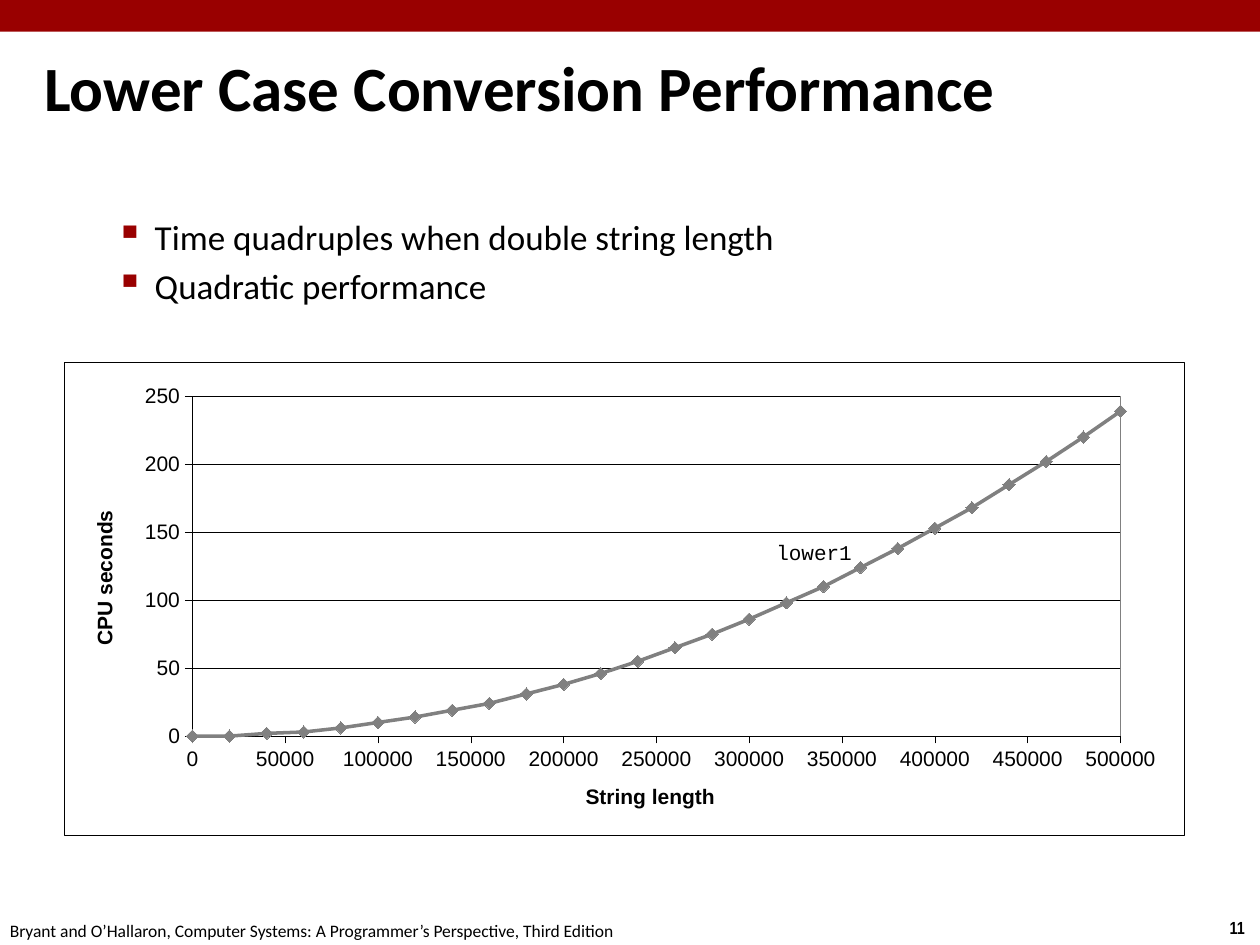
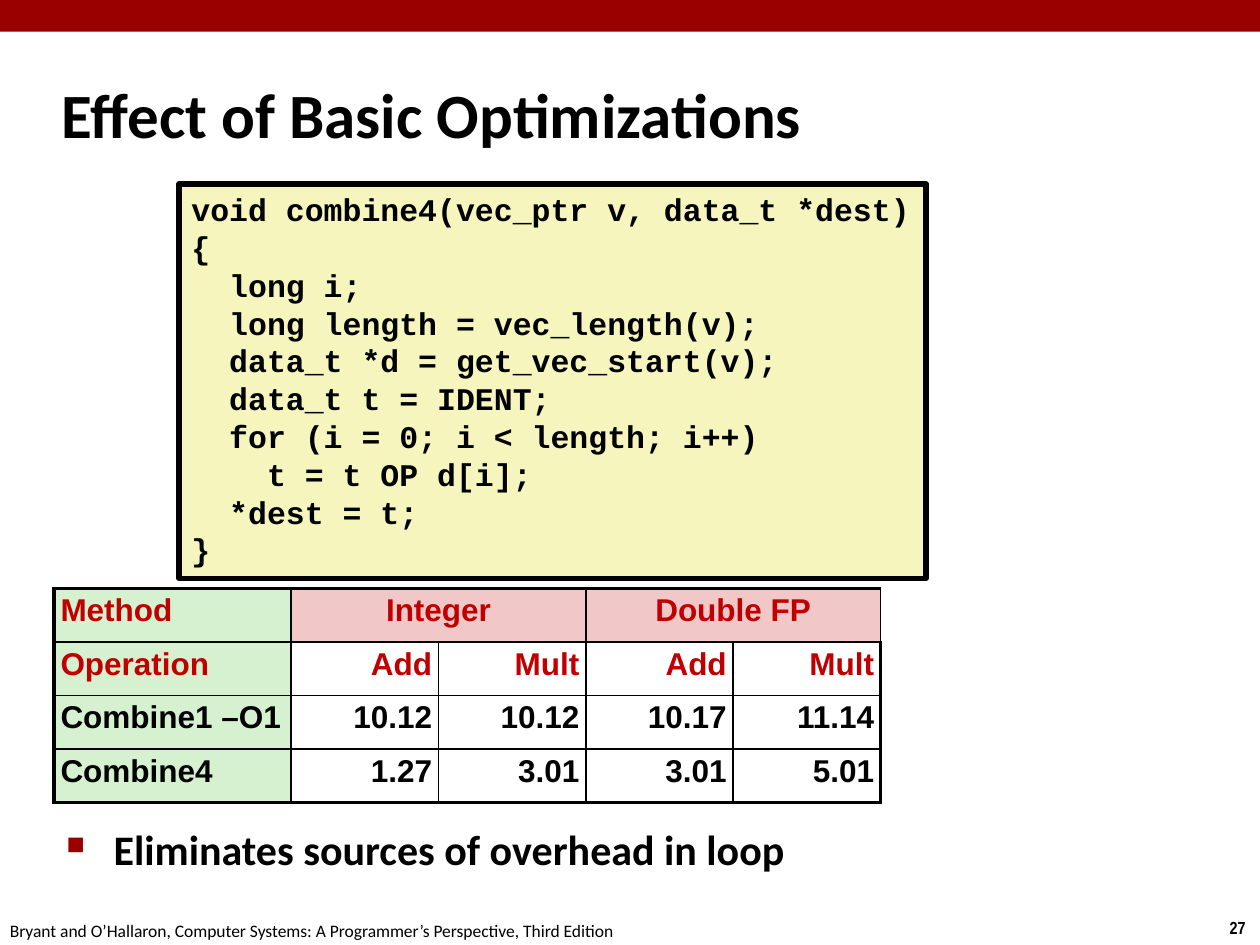
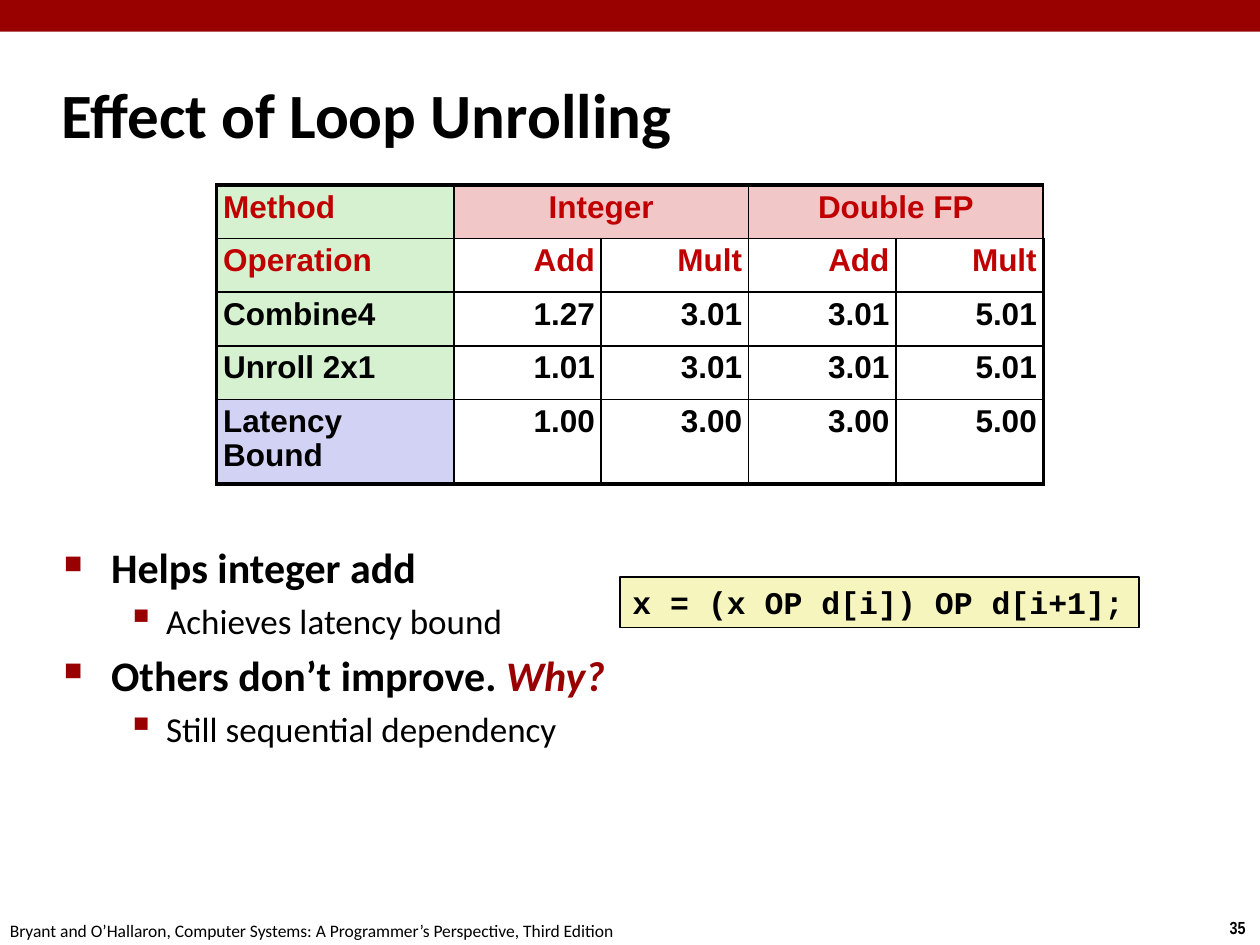
from dataclasses import dataclass, replace

from lxml import etree
from pptx import Presentation
from pptx import util as u
from pptx.chart.data import XyChartData
from pptx.dml.color import RGBColor
from pptx.enum import chart as charts, shapes, text
from pptx.oxml import ns, parse_xml

# Shared look
COLORS = {
    "red": "990000", "heading": "C00000", "black": "000000", "white": "FFFFFF",
    "code": "F6F5BD", "green": "D5F1CF", "pink": "F1C7C7", "violet": "D2D2F4",
    "gray": "808080",
}
FOOTER = "Bryant and O’Hallaron, Computer Systems: A Programmer’s Perspective, Third Edition"
TITLE_ONLY = 5


@dataclass(frozen=True)
class Frame:
    """Position and size in centimetres."""
    left: float
    top: float
    width: float
    height: float

    def lengths(self) -> tuple:
        return u.Cm(self.left), u.Cm(self.top), u.Cm(self.width), u.Cm(self.height)


@dataclass(frozen=True)
class Style:
    size: float
    font: str = "Calibri"
    bold: bool = False
    italic: bool = False
    color: str = "black"


@dataclass(frozen=True)
class BulletKind:
    level: int
    mark: str
    mark_percent: int
    margin: float
    hanging: float
    style: Style


@dataclass(frozen=True)
class Bullet:
    kind: BulletKind
    words: str
    emphasis: str = ""


@dataclass(frozen=True)
class Row:
    label: str
    values: tuple
    fill: str = "green"


TITLE = Style(36, bold=True)
CODE = Style(18, "Courier New", bold=True)
CELL = Style(18, "Arial", bold=True)
HEADING = replace(CELL, color="heading")
AXIS = Style(12, "Arial")
MAIN = BulletKind(0, "■", 60, 0.95, 0.95, Style(24, bold=True))
SUB = BulletKind(1, "▪", 110, 2.06, 0.79, Style(20))

BAND_FRAME = Frame(0, 0, 25.4, 0.64)
NUMBER_FRAME = Frame(24.54, 18.36, 0.86, 0.69)
FOOTER_FRAME = Frame(-0.05, 18.42, 12.9, 0.69)
TITLE_FRAME = Frame(0.99, 1.22, 21.08, 2.11)


def rgb(name: str) -> RGBColor:
    return RGBColor.from_string(COLORS[name])


def apply_font(font, style: Style) -> None:
    font.size, font.name = u.Pt(style.size), style.font
    font.bold, font.italic = style.bold, style.italic
    font.color.rgb = rgb(style.color)


def format_runs(para, style: Style) -> None:
    for span in para.runs:
        apply_font(span.font, style)


def set_indent(para, margin: float, hanging: float):
    props = para._p.get_or_add_pPr()
    props.set("marL", str(u.Cm(margin)))
    props.set("indent", str(-u.Cm(hanging)))
    return props


# Page parts
def add_panel(page, frame: Frame, fill: str, line: float = 0):
    panel = page.shapes.add_shape(shapes.MSO_SHAPE.RECTANGLE, *frame.lengths())
    panel.shadow.inherit = False
    panel.fill.solid()
    panel.fill.fore_color.rgb = rgb(fill)
    if line:
        panel.line.color.rgb = rgb("black")
        panel.line.width = u.Pt(line)
    else:
        panel.line.fill.background()
    return panel


def add_text(page, frame: Frame, words: str, style: Style, wrap: bool = True):
    box = page.shapes.add_textbox(*frame.lengths())
    box.text_frame.word_wrap = wrap
    box.text_frame.text = words
    format_runs(box.text_frame.paragraphs[0], style)
    return box


def add_page(deck, title: str, number: int, frame: Frame = TITLE_FRAME):
    page = deck.slides.add_slide(deck.slide_layouts[TITLE_ONLY])
    add_panel(page, BAND_FRAME, "red")
    add_text(page, NUMBER_FRAME, str(number), Style(10, "Arial Narrow", bold=True), wrap=False)
    add_text(page, FOOTER_FRAME, FOOTER, Style(10))
    heading = page.shapes.title
    heading.left, heading.top, heading.width, heading.height = frame.lengths()
    heading.text_frame.text = title
    heading.text_frame.auto_size = text.MSO_AUTO_SIZE.NONE
    heading.text_frame.vertical_anchor = text.MSO_ANCHOR.MIDDLE
    para = heading.text_frame.paragraphs[0]
    set_indent(para, 0.33, 0.33)
    para.alignment = text.PP_ALIGN.LEFT
    format_runs(para, TITLE)
    return page


def add_code(page, frame: Frame, code: str, line: float) -> None:
    panel = add_panel(page, frame, "code", line)
    panel.text_frame.word_wrap = True
    panel.text_frame.vertical_anchor = text.MSO_ANCHOR.TOP
    panel.text_frame.text = code
    for para in panel.text_frame.paragraphs:
        para.alignment = text.PP_ALIGN.LEFT
        format_runs(para, CODE)


def add_bullets(page, frame: Frame, bullets: list[Bullet]) -> None:
    body = page.shapes.add_textbox(*frame.lengths()).text_frame
    body.word_wrap = True
    for index, bullet in enumerate(bullets):
        kind = bullet.kind
        para = body.add_paragraph() if index else body.paragraphs[0]
        para.text = bullet.words
        para.level = kind.level
        props = set_indent(para, kind.margin, kind.hanging)
        color = etree.SubElement(props, ns.qn("a:buClr"))
        etree.SubElement(color, ns.qn("a:srgbClr"), val=COLORS["red"])
        etree.SubElement(props, ns.qn("a:buSzPct"), val=str(kind.mark_percent * 1000))
        etree.SubElement(props, ns.qn("a:buChar"), char=kind.mark)
        if index:
            para.space_before = u.Pt(kind.style.size * 0.2)
        format_runs(para, kind.style)
        if bullet.emphasis:
            span = para.add_run()
            span.text = bullet.emphasis
            apply_font(span.font, replace(kind.style, color="red", italic=True))


# Timing table
def set_borders(cell, widths: dict[str, float]) -> None:
    props = cell._tc.get_or_add_tcPr()
    for side, width in widths.items():
        line = etree.SubElement(props, ns.qn(f"a:ln{side}"), w=str(u.Pt(width)))
        fill = etree.SubElement(line, ns.qn("a:solidFill"))
        etree.SubElement(fill, ns.qn("a:srgbClr"), val=COLORS["black"])


def add_timings(page, left: float, top: float, results: list[Row], heights: list[float]) -> None:
    rows = [Row("Method", ("Integer", "", "Double FP", "")),
            Row("Operation", ("Add", "Mult") * 2), *results]
    widths = [4.78] + [2.97] * 4
    frame = Frame(left, top, sum(widths), sum(heights))
    table = page.shapes.add_table(len(rows), len(widths), *frame.lengths()).table
    table.first_row = table.horz_banding = False
    for column, width in zip(table.columns, widths):
        column.width = u.Cm(width)
    for table_row, height in zip(table.rows, heights):
        table_row.height = u.Cm(height)
    for first in (1, 3):
        table.cell(0, first).merge(table.cell(0, first + 1))

    last_row, last_column = len(rows) - 1, len(widths) - 1
    for r, row in enumerate(rows):
        for c, words in enumerate((row.label, *row.values)):
            cell = table.cell(r, c)
            outer = {"L": c == 0, "R": c == last_column, "T": r == 0, "B": r == last_row}
            set_borders(cell, {side: 2.25 if edge else 1 for side, edge in outer.items()})
            cell.fill.solid()
            cell.fill.fore_color.rgb = rgb(row.fill if c == 0 else "pink" if r == 0 else "white")
            cell.margin_left = cell.margin_right = u.Cm(0.13)
            cell.margin_top = cell.margin_bottom = u.Cm(0.13)
            if not words:
                continue
            cell.text_frame.text = words
            para = cell.text_frame.paragraphs[0]
            para.line_spacing = 0.95
            para.alignment = (text.PP_ALIGN.LEFT if c == 0 else
                              text.PP_ALIGN.CENTER if r == 0 else text.PP_ALIGN.RIGHT)
            format_runs(para, HEADING if r < 2 else CELL)


# Performance chart
def format_axis(axis, title: str, maximum: int, step: int) -> None:
    axis.minimum_scale, axis.maximum_scale, axis.major_unit = 0, maximum, step
    axis.major_tick_mark = charts.XL_TICK_MARK.OUTSIDE
    axis.minor_tick_mark = charts.XL_TICK_MARK.NONE
    axis.has_major_gridlines = False
    axis.format.line.color.rgb = rgb("black")
    axis.format.line.width = u.Pt(0.25)
    apply_font(axis.tick_labels.font, AXIS)
    axis.tick_labels.number_format = "General"
    axis.tick_labels.number_format_is_linked = False
    axis.axis_title.text_frame.text = title
    format_runs(axis.axis_title.text_frame.paragraphs[0], replace(AXIS, bold=True))


def outline_xml(fill: str, line: str):
    return parse_xml(
        f'<c:spPr {ns.nsdecls("c", "a")}>{fill}<a:ln w="{u.Pt(0.25)}"><a:solidFill>'
        f'<a:srgbClr val="{COLORS[line]}"/></a:solidFill></a:ln></c:spPr>')


def place_plot(chart, x: float, y: float, w: float, h: float) -> None:
    plot_area = chart._chartSpace.chart.plotArea
    for old in plot_area.findall(ns.qn("c:layout")):
        plot_area.remove(old)
    layout = etree.Element(ns.qn("c:layout"))
    manual = etree.SubElement(layout, ns.qn("c:manualLayout"))
    settings = {"layoutTarget": "inner", "xMode": "edge", "yMode": "edge",
                "x": x, "y": y, "w": w, "h": h}
    for tag, value in settings.items():
        etree.SubElement(manual, ns.qn(f"c:{tag}"), val=str(value))
    plot_area.insert(0, layout)
    plot_area.append(outline_xml("<a:noFill/>", "gray"))


def add_performance_chart(page, frame: Frame, seconds: list[int]) -> None:
    data = XyChartData()
    points = data.add_series("Series 1")
    for index, value in enumerate(seconds):
        points.add_data_point(index * 20000, value)
    chart = page.shapes.add_chart(
        charts.XL_CHART_TYPE.XY_SCATTER_SMOOTH, *frame.lengths(), data).chart
    chart.has_title = chart.has_legend = False
    apply_font(chart.font, AXIS)
    format_axis(chart.category_axis, "String length", 500000, 50000)
    format_axis(chart.value_axis, "CPU seconds", 250, 50)
    chart.value_axis.has_major_gridlines = True
    grid = chart.value_axis.major_gridlines.format.line
    grid.color.rgb, grid.width = rgb("black"), u.Pt(0.25)

    chart.plots[0].vary_by_categories = False
    curve = chart.plots[0].series[0]
    curve.smooth = True
    curve.format.line.color.rgb = rgb("gray")
    curve.format.line.width = u.Pt(2)
    curve.marker.style = charts.XL_MARKER_STYLE.DIAMOND
    curve.marker.size = 7
    curve.marker.format.fill.solid()
    curve.marker.format.fill.fore_color.rgb = rgb("gray")
    curve.marker.format.line.color.rgb = rgb("gray")

    place_plot(chart, 0.114, 0.073, 0.829, 0.718)
    white = f'<a:solidFill><a:srgbClr val="{COLORS["white"]}"/></a:solidFill>'
    chart._chartSpace.chart.addnext(outline_xml(white, "black"))


# Slides
CPU_SECONDS = [0, 0, 2, 3, 6, 10, 14, 19, 24, 31, 38, 46, 55, 65, 75, 86, 98, 110,
               124, 138, 153, 168, 185, 202, 220, 239]

COMBINE4_CODE = """void combine4(vec_ptr v, data_t *dest)
{
  long i;
  long length = vec_length(v);
  data_t *d = get_vec_start(v);
  data_t t = IDENT;
  for (i = 0; i < length; i++)
    t = t OP d[i];
  *dest = t;
}"""

COMBINE4 = Row("Combine4", ("1.27", "3.01", "3.01", "5.01"))


def build_conversion(deck) -> None:
    page = add_page(deck, "Lower Case Conversion Performance", 11,
                    Frame(0.64, 0.94, 24.1, 1.6))
    add_bullets(page, Frame(0.81, 4.22, 23.09, 2.51), [
        Bullet(SUB, "Time quadruples when double string length"),
        Bullet(SUB, "Quadratic performance"),
    ])
    add_performance_chart(page, Frame(1.3, 7.29, 22.58, 9.55), CPU_SECONDS)
    label = add_text(page, Frame(15.57, 10.8, 1.63, 0.61), "lower1",
                     Style(12, "Courier New"), wrap=False).text_frame
    label.margin_left = label.margin_top = u.Cm(0.08)
    label.margin_right = label.margin_bottom = u.Cm(0)


def build_basic(deck) -> None:
    page = add_page(deck, "Effect of Basic Optimizations", 27)
    add_bullets(page, Frame(1.09, 16.48, 21.95, 1.5), [
        Bullet(MAIN, "Eliminates sources of overhead in loop"),
    ])
    add_code(page, Frame(3.61, 3.71, 15.06, 7.95), COMBINE4_CODE, 3)
    add_timings(page, 1.09, 11.86, [
        Row("Combine1 –O1", ("10.12", "10.12", "10.17", "11.14")),
        COMBINE4,
    ], [1.08] * 4)


def build_unrolling(deck) -> None:
    page = add_page(deck, "Effect of Loop Unrolling", 35)
    add_bullets(page, Frame(1.04, 10.8, 23.09, 7.42), [
        Bullet(MAIN, "Helps integer add"),
        Bullet(SUB, "Achieves latency bound"),
        Bullet(MAIN, "Others don’t improve. ", "Why?"),
        Bullet(SUB, "Still sequential dependency"),
    ])
    add_code(page, Frame(12.5, 11.63, 10.46, 1.02), "x = (x OP d[i]) OP d[i+1];", 1)
    add_timings(page, 4.37, 3.73, [
        COMBINE4,
        Row("Unroll 2x1", ("1.01", "3.01", "3.01", "5.01")),
        Row("Latency Bound", ("1.00", "3.00", "3.00", "5.00"), "violet"),
    ], [1.08] * 4 + [1.69])


def main() -> None:
    deck = Presentation()
    deck.slide_width, deck.slide_height = u.Cm(25.4), u.Cm(19.05)
    for build in (build_conversion, build_basic, build_unrolling):
        build(deck)
    deck.save("out.pptx")


if __name__ == "__main__":
    main()
